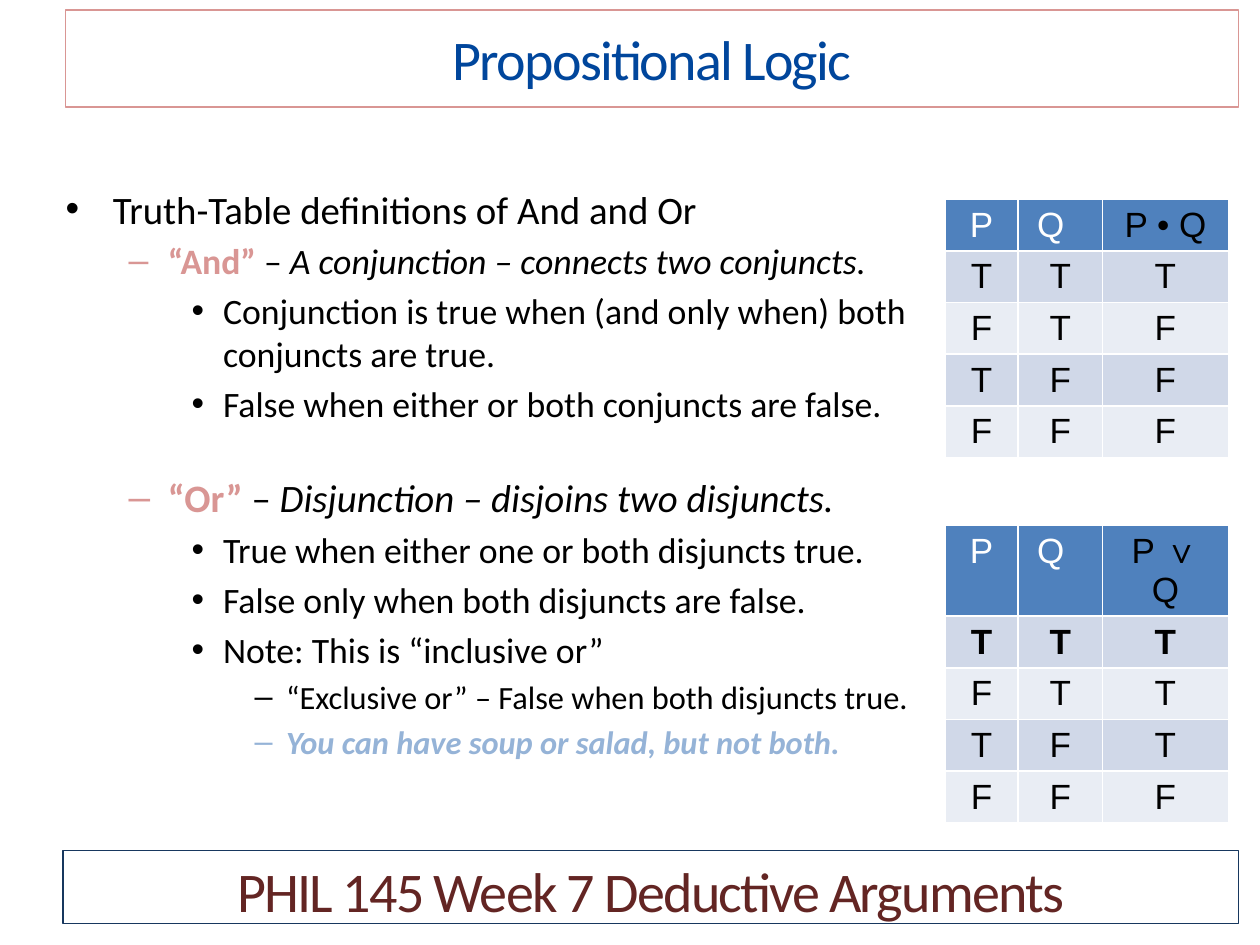
from dataclasses import dataclass

from pptx import Presentation
from pptx.dml.color import RGBColor
from pptx.enum.shapes import MSO_SHAPE
from pptx.enum.text import MSO_ANCHOR, MSO_AUTO_SIZE, PP_ALIGN
from pptx.util import Inches, Pt


@dataclass(frozen=True)
class Theme:
    font: str = "Calibri"
    grid: str = "Arial"
    ink: str = "000000"
    white: str = "FFFFFF"
    blue: str = "00469C"
    rose: str = "D99694"
    navy: str = "17375E"
    maroon: str = "632523"
    sky: str = "95B3D7"
    head: str = "4F81BD"
    bands: tuple = ("D0D8E8", "E9EDF4")
    banner: float = 32
    large: float = 22.2
    medium: float = 20.4
    small: float = 18.5
    cell: float = 20


def color(code):
    return RGBColor.from_string(code)


class Deck:
    def __init__(self, theme):
        self.theme = theme
        self.prs = Presentation()
        self.prs.slide_width, self.prs.slide_height = Inches(10), Inches(7.5)
        self.slide = self.prs.slides.add_slide(self.prs.slide_layouts[1])

    def place(self, shape, box):
        shape.left, shape.top, shape.width, shape.height = map(Inches, box)

    def style(self, font, name, size, code):
        font.name, font.size = name, Pt(size)
        font.color.rgb = color(code)

    def banner(self, shape, text, box, line, code, anchor):
        """Outlined box with one line of tightly spaced text."""
        self.place(shape, box)
        shape.fill.background()
        shape.line.color.rgb = color(line)
        shape.line.width = Pt(0.75)
        frame = shape.text_frame
        frame.word_wrap = True
        frame.auto_size = MSO_AUTO_SIZE.NONE
        frame.vertical_anchor = anchor
        para = frame.paragraphs[0]
        para.alignment = PP_ALIGN.CENTER
        run = para.add_run()
        run.text = text
        self.style(para.font, self.theme.font, self.theme.banner, code)
        run.font._element.set("spc", "-100")

    def title(self, *args):
        self.banner(self.slide.shapes.title, *args, MSO_ANCHOR.MIDDLE)

    def footer(self, text, box, *args):
        shape = self.slide.shapes.add_shape(MSO_SHAPE.RECTANGLE, *map(Inches, box))
        shape.shadow.inherit = False
        self.banner(shape, text, box, *args, MSO_ANCHOR.TOP)

    def outline(self, items, box):
        """Each item: level, size, space before, then (text, color, bold, italic) runs."""
        body = self.slide.placeholders[1]
        self.place(body, box)
        frame = body.text_frame
        frame.auto_size = MSO_AUTO_SIZE.NONE
        for i, (level, size, gap, *runs) in enumerate(items):
            para = frame.add_paragraph() if i else frame.paragraphs[0]
            para.level = level
            para.font.name, para.font.size = self.theme.font, Pt(size)
            if gap:
                para.space_before = Pt(gap)
            for text, code, bold, italic in runs:
                run = para.add_run()
                run.text = text
                run.font.color.rgb = color(code)
                run.font.bold, run.font.italic = bold, italic

    def truth(self, formula, values, top, strong=None, inset=0.1):
        """Truth table; strong is the bold row, inset the formula's side margin."""
        look = self.theme
        rows = ["PQ", "TT", "FT", "TF", "FF"]
        grid = self.slide.shapes.add_table(
            5, 3, Inches(7.5), Inches(top), Inches(2.25), Inches(1.97)).table
        for col, width in zip(grid.columns, (0.58, 0.67, 1)):
            col.width = Inches(width)
        for row, height in zip(grid.rows, (0.41, 0.37, 0.41, 0.41, 0.37)):
            row.height = Inches(height)
        for r, (pair, last) in enumerate(zip(rows, [formula, *values])):
            for c, text in enumerate([*pair, last]):
                cell = grid.cell(r, c)
                cell.fill.solid()
                cell.fill.fore_color.rgb = color(look.bands[(r - 1) % 2] if r else look.head)
                cell.text = text
                para = cell.text_frame.paragraphs[0]
                para.alignment = PP_ALIGN.CENTER
                self.style(para.font, look.grid, look.cell,
                           look.ink if r or c == 2 else look.white)
                para.font.bold = r == strong
        # Header offsets
        grid.cell(0, 1).margin_right = Inches(0.25)
        last = grid.cell(0, 2)
        last.margin_left = last.margin_right = Inches(inset)


def main():
    look = Theme()
    deck = Deck(look)

    def plain(text):
        return text, look.ink, False, False

    def term(name, text):
        return ((f"{name} ", look.rose, True, False), plain("– "),
                (text, look.ink, False, True))

    # Title and definitions
    deck.title("Propositional Logic", (0.52, 0.08, 9.31, 0.77), look.rose, look.blue)
    deck.outline([
        (0, look.large, None, plain("Truth-Table definitions of And and Or")),
        (1, look.medium, None, *term("“And”", "A conjunction – connects two conjuncts.")),
        (2, look.medium, None,
         plain("Conjunction is true when (and only when) both conjuncts are true.")),
        (2, look.medium, None, plain("False when either or both conjuncts are false.")),
        (1, look.large, 28, *term("“Or”", "Disjunction – disjoins two disjuncts.")),
        (2, look.medium, None, plain("True when either one or both disjuncts true.")),
        (2, look.medium, None, plain("False only when both disjuncts are false.")),
        (2, look.medium, None, plain("Note: This is “inclusive or”")),
        (3, look.small, None, plain("“Exclusive or” – False when both disjuncts true.")),
        (3, look.small, None,
         ("You can have soup or salad, but not both.", look.sky, True, True)),
    ], (0.42, 1.42, 7, 5))

    # Truth tables
    deck.truth("P • Q", "TFFF", 1.58)
    deck.truth("P ∨ Q", "TTTF", 4.17, strong=1, inset=0.2)

    # Course banner
    deck.footer("PHIL 145 Week 7 Deductive Arguments", (0.5, 6.75, 9.33, 0.58),
                look.navy, look.maroon)
    deck.prs.save("out.pptx")


if __name__ == "__main__":
    main()
